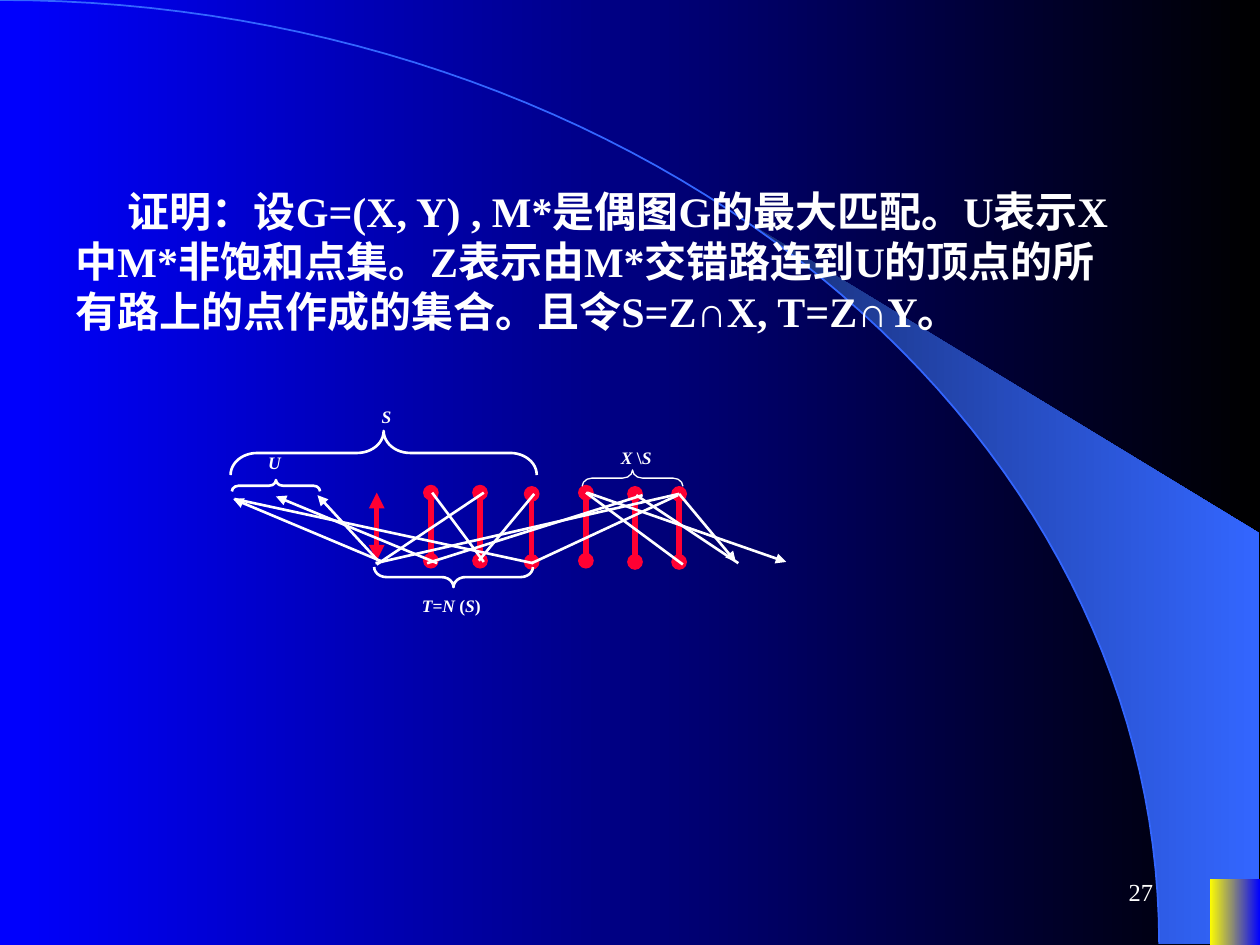
from math import asin, cos, pi, sin

from lxml.etree import SubElement
from pptx import Presentation
from pptx.dml.color import RGBColor
from pptx.enum.shapes import MSO_CONNECTOR as CONN, MSO_SHAPE as SHAPE
from pptx.enum.text import MSO_ANCHOR as ANCHOR, PP_ALIGN as ALIGN
from pptx.oxml.ns import qn
from pptx.util import Inches, Pt

COLORS = {
    "white": "FFFFFF", "red": "FF0033", "blue": "0000FF", "black": "000000",
    "sky": "3366FF", "navy": "182F76", "yellow": "FFFF00",
}
FONT = "Times New Roman"
COLS, ROWS = 100, 75


def rgb(name):
    return RGBColor.from_string(COLORS[name])


def add_run(p, text, size=10, bold=True, italic=False, color="white"):
    r = p.add_run()
    r.text = text
    r.font.name = FONT
    r.font.size = Pt(size)
    r.font.bold = bold
    r.font.italic = italic
    r.font.color.rgb = rgb(color)
    return r


def blend(fill, start, end):
    fill.gradient()
    fill.gradient_angle = 0
    for stop, name, pos in zip(fill.gradient_stops, (start, end), (0, 1)):
        stop.color.rgb = rgb(name)
        stop.position = pos


class Board:
    def __init__(self, prs):
        self.s = prs.slides.add_slide(prs.slide_layouts[6])
        self.col = prs.slide_width / COLS
        self.row = prs.slide_height / ROWS

    def place(self, x, y):
        return round(x * self.col), round(y * self.row)

    def background(self, start, end):
        blend(self.s.background.fill, start, end)

    def outline(self, points, closed):
        pts = [self.place(*pt) for pt in points]
        fb = self.s.shapes.build_freeform(*pts[0])
        fb.add_line_segments(pts[1:], close=closed)
        sp = fb.convert_to_shape()
        sp.shadow.inherit = False
        return sp

    def area(self, points, start, end):
        sp = self.outline(points, True)
        blend(sp.fill, start, end)
        sp.line.fill.background()

    def curve(self, points, color):
        sp = self.outline(points, False)
        sp.fill.background()
        sp.line.color.rgb = rgb(color)
        sp.line.width = Pt(1)

    def block(self, x, y, w, h, start, end):
        sp = self.s.shapes.add_shape(
            SHAPE.RECTANGLE, *self.place(x, y), *self.place(w, h))
        sp.shadow.inherit = False
        blend(sp.fill, start, end)
        sp.line.fill.background()

    def brace(self, x, y, w, h, up=True, width=1.5):
        left, top = x + (w - h) / 2, y + (h - w) / 2
        sp = self.s.shapes.add_shape(
            SHAPE.LEFT_BRACE, *self.place(left, top), *self.place(h, w))
        sp.rotation = 90 if up else 270
        sp.adjustments[0] = 0.6
        sp.shadow.inherit = False
        sp.fill.background()
        sp.line.color.rgb = rgb("white")
        sp.line.width = Pt(width)

    def edge(self, x1, y1, x2, y2, head=None, tail=None, color="white", width=1.5):
        c = self.s.shapes.add_connector(
            CONN.STRAIGHT, *self.place(x1, y1), *self.place(x2, y2))
        c.line.color.rgb = rgb(color)
        c.line.width = Pt(width)
        ln = c.line._get_or_add_ln()
        for tag, kind in (("a:headEnd", head), ("a:tailEnd", tail)):
            if kind:
                SubElement(ln, qn(tag)).set("type", kind)
        SubElement(c._element.spPr, qn("a:effectLst"))

    def text(self, x, y, w, h, runs, align=ALIGN.LEFT, anchor=ANCHOR.TOP,
             indent=0, **style):
        tf = self.s.shapes.add_textbox(
            *self.place(x, y), *self.place(w, h)).text_frame
        tf.word_wrap = True
        tf.vertical_anchor = anchor
        p = tf.paragraphs[0]
        p.alignment = align
        if indent:
            p._p.get_or_add_pPr().set("indent", str(Pt(indent)))
        for text, italic in runs:
            add_run(p, text, italic=italic, **style)


def arc(start, steps=60):
    angles = [start + (pi / 2 - start) * i / steps for i in range(steps + 1)]
    return [(92 * sin(a), 74.9 * (1 - cos(a))) for a in angles]


PROOF = ("证明：设G=(X, Y) , M*是偶图G的最大匹配。U表示X中M*非饱和点集。"
         "Z表示由M*交错路连到U的顶点的所有路上的点作成的集合。"
         "且令S=Z∩X, T=Z∩Y。")

MATCHED = [(29.9, 39.1, "triangle"), (34.2, 39.1, "oval"), (38.1, 39.1, "oval"),
           (42.2, 39.2, "oval"), (46.5, 39.1, "oval"), (50.4, 39.2, "oval"),
           (53.9, 39.2, "oval")]

EDGES = [
    (53.9, 39.2, 58.4, 44.6, None, "triangle"),
    (25.2, 39.3, 30, 44.5, "triangle"),
    (34.3, 39.1, 38.4, 44.6),
    (42.4, 39.2, 38, 44.5),
    (51, 39.3, 33.9, 44.7),
    (46.5, 39.1, 54.2, 44.8),
    (21.9, 39.4, 34.7, 44.7, "triangle"),
    (18.5, 39.6, 30.4, 44.6, "triangle"),
    (18.6, 39.6, 42.3, 44.7),
    (38.4, 39.1, 29.9, 44.8),
    (46.6, 39.1, 62.4, 44.6, None, "triangle"),
    (50.5, 39.3, 58.6, 44.7),
    (53.9, 39.2, 29.8, 44.7),
    (53.8, 39.3, 42.2, 44.7),
]

BRACES = [
    (18.3, 34.2, 24.3, 3.5, True, 1.5),
    (29.7, 45, 12.6, 1.6, False, 1.5),
    (18.4, 38.1, 7, 0.9, True, 1.5),
    (46.2, 37.3, 8, 1.3, True, 0.75),
]

LABELS = [
    (29.3, 31.7, 3, 3.5, [("S", True)]),
    (20.3, 35.4, 3.2, 3, [("U", True)]),
    (32.5, 46.7, 15, 5.1, [("T", True), ("=", False), ("N ", True),
                           ("(", False), ("S", True), (")", False)]),
    (48.3, 35, 5.1, 3.5, [("X ", True), ("\\", False), ("S", True)]),
]


def main():
    prs = Presentation()
    prs.slide_width, prs.slide_height = Inches(10), Inches(7.5)
    b = Board(prs)
    b.background("blue", "black")
    b.area(arc(asin(0.64)) + [(99.9, 74.9), (99.9, 42.3)], "navy", "sky")
    b.curve(arc(0), "sky")
    b.block(96, 69.8, 4, 5.2, "yellow", "blue")
    b.text(71.7, 68.3, 20.8, 5, [("27", False)], align=ALIGN.RIGHT,
           anchor=ANCHOR.MIDDLE, size=14, bold=False)
    b.text(5, 14.2, 84.2, 13, [(PROOF, False)], indent=30, size=24)
    for x, y, end in MATCHED:
        b.edge(x, y, x, y + 5.4, end, end, color="red", width=3)
    for edge in EDGES:
        b.edge(*edge)
    for brace in BRACES:
        b.brace(*brace)
    for label in LABELS:
        b.text(*label, align=ALIGN.JUSTIFY)
    prs.save("out.pptx")


if __name__ == "__main__":
    main()
